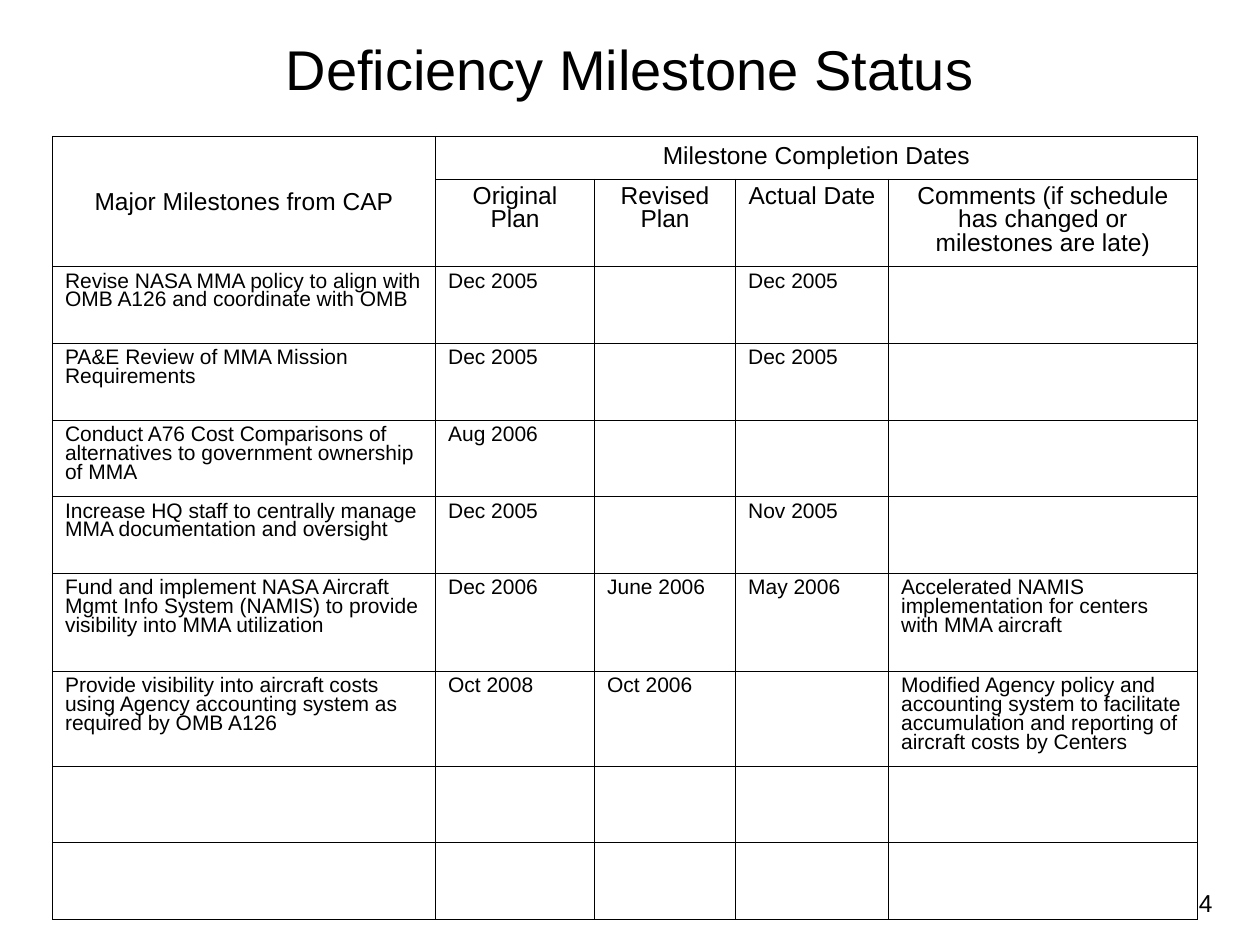
from dataclasses import dataclass

from lxml.etree import SubElement
from pptx import Presentation
from pptx.dml.color import RGBColor
from pptx.enum.text import MSO_ANCHOR as Anchor, PP_ALIGN as Align
from pptx.oxml.ns import qn
from pptx.util import Pt


@dataclass(frozen=True)
class Theme:
    font: str = "Arial"
    ink: str = "000000"
    title: float = 32
    header: float = 14
    body: float = 12
    rule: float = 0.45


THEME = Theme()

COLUMN_WIDTHS = [218.9, 90.9, 80.6, 87.4, 176.4]
ROW_HEIGHTS = [24.6, 49.8] + [43.8] * 4 + [56, 54] + [43.8] * 2
SUBHEADS = ["Original Plan", "Revised Plan", "Actual Date",
            "Comments (if schedule has changed or milestones are late)"]
MILESTONES = [
    ("Revise NASA MMA policy to align with OMB A126 and coordinate with OMB",
     "Dec 2005", "", "Dec 2005", ""),
    ("PA&E Review of MMA Mission Requirements",
     "Dec 2005", "", "Dec 2005", ""),
    ("Conduct A76 Cost Comparisons of alternatives to government ownership of MMA",
     "Aug 2006", "", "", ""),
    ("Increase HQ staff to centrally manage MMA documentation and oversight",
     "Dec 2005", "", "Nov 2005", ""),
    ("Fund and implement NASA Aircraft Mgmt Info System (NAMIS) to provide "
     "visibility into MMA utilization",
     "Dec 2006", "June 2006", "May 2006",
     "Accelerated NAMIS implementation for centers with MMA aircraft"),
    ("Provide visibility into aircraft costs using Agency accounting system "
     "as required by OMB A126",
     "Oct 2008", "Oct 2006", "",
     "Modified Agency policy and accounting system to facilitate accumulation "
     "and reporting of aircraft costs by Centers"),
]

HEADER = {"alignment": Align.CENTER}
SUBHEADER = {"alignment": Align.CENTER, "line_spacing": 0.85}
BODY = {"alignment": Align.LEFT, "line_spacing": 0.8}


def write(frame, text, size, paragraph_format):
    paragraph = frame.paragraphs[0]
    for name, value in paragraph_format.items():
        setattr(paragraph, name, value)
    run = paragraph.add_run()
    run.text = text
    for name, value in {"name": THEME.font, "size": Pt(size)}.items():
        setattr(run.font, name, value)
    run.font.color.rgb = RGBColor.from_string(THEME.ink)


def add_label(slide, box, text, size, paragraph_format, anchor=Anchor.TOP):
    frame = slide.shapes.add_textbox(*map(Pt, box)).text_frame
    frame.word_wrap = True
    frame.vertical_anchor = anchor
    write(frame, text, size, paragraph_format)


def rule_cell(cell):
    """Draw all four borders of a cell and leave it unfilled."""
    properties = cell._tc.get_or_add_tcPr()
    for side in ("lnL", "lnR", "lnT", "lnB"):
        line = SubElement(properties, qn(f"a:{side}"), w=str(Pt(THEME.rule)))
        fill = SubElement(line, qn("a:solidFill"))
        SubElement(fill, qn("a:srgbClr"), val=THEME.ink)
    cell.fill.background()


def add_milestone_table(slide, box):
    table = slide.shapes.add_table(
        len(ROW_HEIGHTS), len(COLUMN_WIDTHS), *map(Pt, box)).table
    table.first_row = table.horz_banding = False
    for column, width in zip(table.columns, COLUMN_WIDTHS):
        column.width = Pt(width)
    for row, height in zip(table.rows, ROW_HEIGHTS):
        row.height = Pt(height)
    for cell in table.iter_cells():
        rule_cell(cell)

    milestone_head, dates_head = table.cell(0, 0), table.cell(0, 1)
    milestone_head.merge(table.cell(1, 0))
    dates_head.merge(table.cell(0, 4))
    milestone_head.vertical_anchor = Anchor.MIDDLE
    write(milestone_head.text_frame, "Major Milestones from CAP", THEME.header, HEADER)
    write(dates_head.text_frame, "Milestone Completion Dates", THEME.header, HEADER)
    for column, subhead in enumerate(SUBHEADS, start=1):
        write(table.cell(1, column).text_frame, subhead, THEME.header, SUBHEADER)

    for row, milestone in enumerate(MILESTONES, start=2):
        for column, entry in enumerate(milestone):
            if entry:
                write(table.cell(row, column).text_frame, entry, THEME.body, BODY)


def main():
    deck = Presentation()
    deck.slide_width, deck.slide_height = Pt(720), Pt(540)
    slide = deck.slides.add_slide(deck.slide_layouts[6])
    add_label(slide, (36, 0, 648, 78), "Deficiency Milestone Status",
              THEME.title, HEADER, Anchor.MIDDLE)
    add_milestone_table(
        slide, (30, 77.8, sum(COLUMN_WIDTHS), sum(ROW_HEIGHTS)))
    add_label(slide, (678, 504, 30, 24.5), "4", THEME.header,
              {"alignment": Align.LEFT})
    deck.save("out.pptx")


if __name__ == "__main__":
    main()
